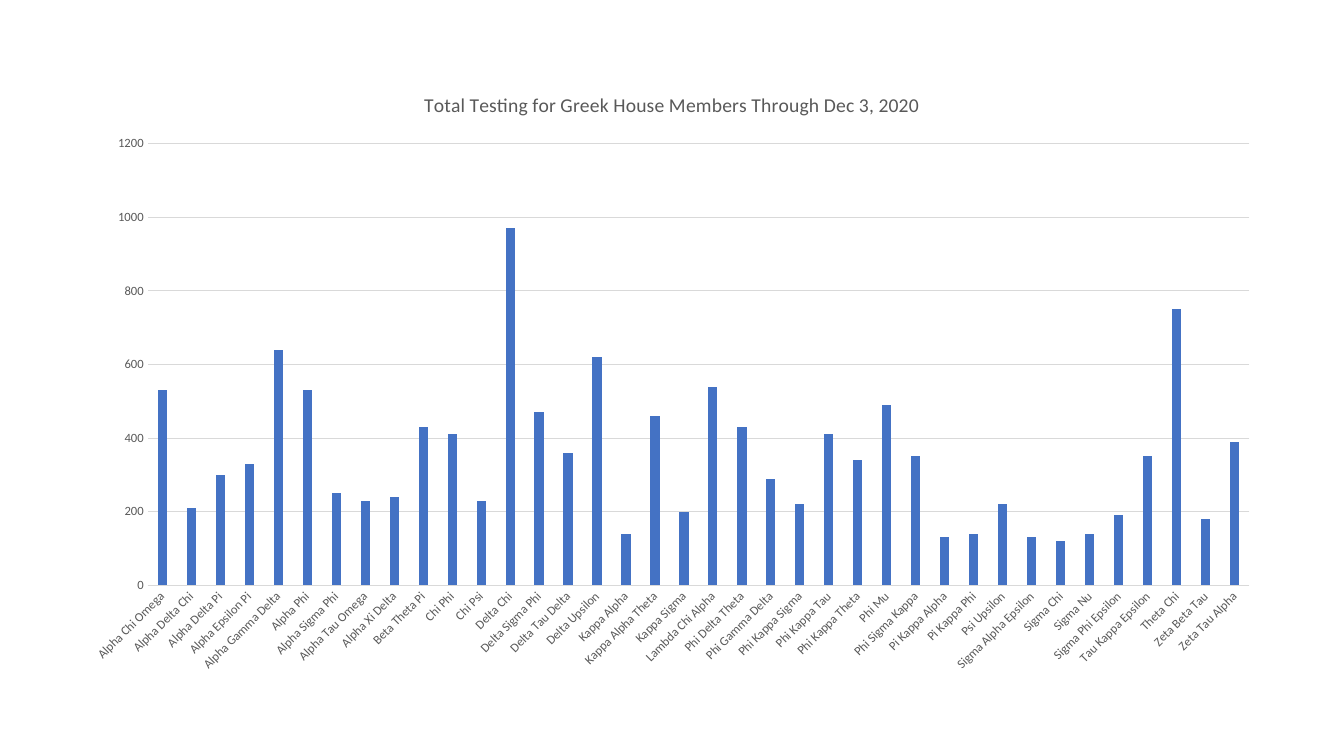
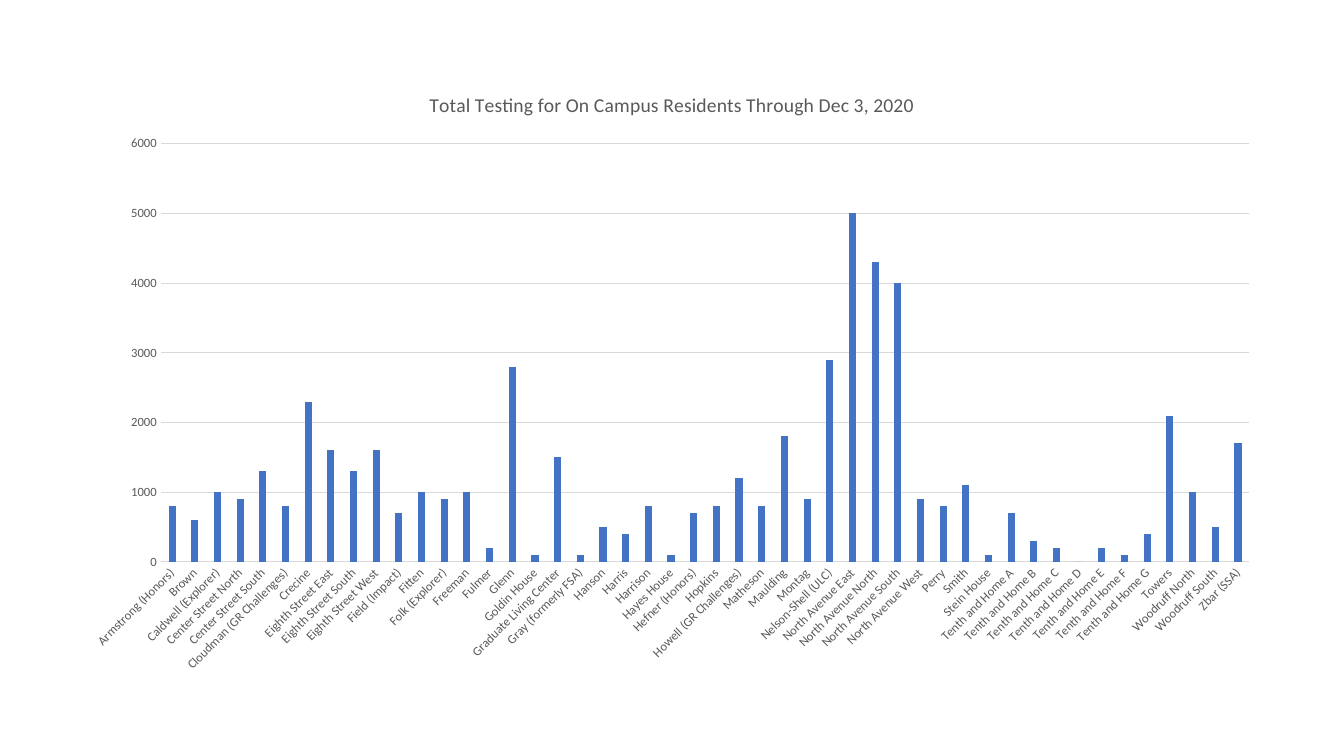
"""Build two column-chart slides of total testing by residence."""
from pptx import Presentation
from pptx.chart.data import CategoryChartData
from pptx.dml.color import RGBColor
from pptx.enum.chart import XL_CHART_TYPE, XL_TICK_MARK
from pptx.util import Inches, Pt

FONT = "Calibri"
BAR, TEXT, RULE = "4472C4", "595959", "D9D9D9"
CHART_AREA = (0.7, 0.7, 11.93, 6.09)

GREEK_HOUSES = {
    "Alpha Chi Omega": 530, "Alpha Delta Chi": 210, "Alpha Delta Pi": 300,
    "Alpha Epsilon Pi": 330, "Alpha Gamma Delta": 640, "Alpha Phi": 530,
    "Alpha Sigma Phi": 250, "Alpha Tau Omega": 230, "Alpha Xi Delta": 240,
    "Beta Theta Pi": 430, "Chi Phi": 410, "Chi Psi": 230,
    "Delta Chi": 970, "Delta Sigma Phi": 470, "Delta Tau Delta": 360,
    "Delta Upsilon": 620, "Kappa Alpha": 140, "Kappa Alpha Theta": 460,
    "Kappa Sigma": 200, "Lambda Chi Alpha": 540, "Phi Delta Theta": 430,
    "Phi Gamma Delta": 290, "Phi Kappa Sigma": 220, "Phi Kappa Tau": 410,
    "Phi Kappa Theta": 340, "Phi Mu": 490, "Phi Sigma Kappa": 350,
    "Pi Kappa Alpha": 130, "Pi Kappa Phi": 140, "Psi Upsilon": 220,
    "Sigma Alpha Epsilon": 130, "Sigma Chi": 120, "Sigma Nu": 140,
    "Sigma Phi Epsilon": 190, "Tau Kappa Epsilon": 350, "Theta Chi": 750,
    "Zeta Beta Tau": 180, "Zeta Tau Alpha": 390,
}
RESIDENCES = {
    "Armstrong (Honors)": 800, "Brown": 600, "Caldwell (Explorer)": 1000,
    "Center Street North": 900, "Center Street South": 1300,
    "Cloudman (GR Challenges)": 800, "Crecine": 2300,
    "Eighth Street East": 1600, "Eighth Street South": 1300,
    "Eighth Street West": 1600, "Field (Impact)": 700, "Fitten": 1000,
    "Folk (Explorer)": 900, "Freeman": 1000, "Fulmer": 200, "Glenn": 2800,
    "Goldin House": 100, "Graduate Living Center": 1500,
    "Gray (formerly FSA)": 100, "Hanson": 500, "Harris": 400,
    "Harrison": 800, "Hayes House": 100, "Hefner (Honors)": 700,
    "Hopkins": 800, "Howell (GR Challenges)": 1200, "Matheson": 800,
    "Maulding": 1800, "Montag": 900, "Nelson-Shell (ULC)": 2900,
    "North Avenue East": 5000, "North Avenue North": 4300,
    "North Avenue South": 4000, "North Avenue West": 900, "Perry": 800,
    "Smith": 1100, "Stein House": 100, "Tenth and Home A": 700,
    "Tenth and Home B": 300, "Tenth and Home C": 200,
    "Tenth and Home D": 0, "Tenth and Home E": 200,
    "Tenth and Home F": 100, "Tenth and Home G": 400, "Towers": 2100,
    "Woodruff North": 1000, "Woodruff South": 500, "Zbar (SSA)": 1700,
}
SLIDES = [
    ("Total Testing for Greek House Members Through Dec 3, 2020", GREEK_HOUSES, 1200, 200),
    ("Total Testing for On Campus Residents Through Dec 3, 2020", RESIDENCES, 6000, 1000),
]


def color(value):
    return RGBColor.from_string(value)


def style_font(font, size):
    font.name, font.size, font.bold = FONT, Pt(size), False
    font.color.rgb = color(TEXT)


def style_line(line):
    line.color.rgb = color(RULE)
    line.width = Pt(0.75)


def style_title(chart, title):
    chart.has_title = True
    frame = chart.chart_title.text_frame
    frame.text = title
    style_font(frame.paragraphs[0].runs[0].font, 14)


def style_axes(chart, maximum, step):
    categories, values = chart.category_axis, chart.value_axis
    for axis in (categories, values):
        axis.major_tick_mark = axis.minor_tick_mark = XL_TICK_MARK.NONE
        style_font(axis.tick_labels.font, 9)
    style_line(categories.format.line)
    categories.tick_labels.font._element.getparent().getparent().getparent().bodyPr.set("rot", "-2700000")
    values.format.line.fill.background()
    values.has_major_gridlines = True
    style_line(values.major_gridlines.format.line)
    values.minimum_scale, values.maximum_scale, values.major_unit = 0, maximum, step


def add_testing_slide(deck, title, counts, maximum, step):
    page = deck.slides.add_slide(deck.slide_layouts[6])
    data = CategoryChartData()
    data.categories = list(counts)
    data.add_series("Series 1", list(counts.values()))
    area = [Inches(length) for length in CHART_AREA]
    chart = page.shapes.add_chart(XL_CHART_TYPE.COLUMN_CLUSTERED, *area, data).chart
    chart.font.name, chart.font.size = FONT, Pt(10)
    chart.has_legend = False
    style_title(chart, title)
    style_axes(chart, maximum, step)
    plot = chart.plots[0]
    plot.gap_width, plot.overlap, plot.vary_by_categories = 219, -27, False
    fill = plot.series[0].format.fill
    fill.solid()
    fill.fore_color.rgb = color(BAR)


def main():
    deck = Presentation()
    deck.slide_width, deck.slide_height = Inches(13.33), Inches(7.5)
    for content in SLIDES:
        add_testing_slide(deck, *content)
    deck.save("out.pptx")


if __name__ == "__main__":
    main()
